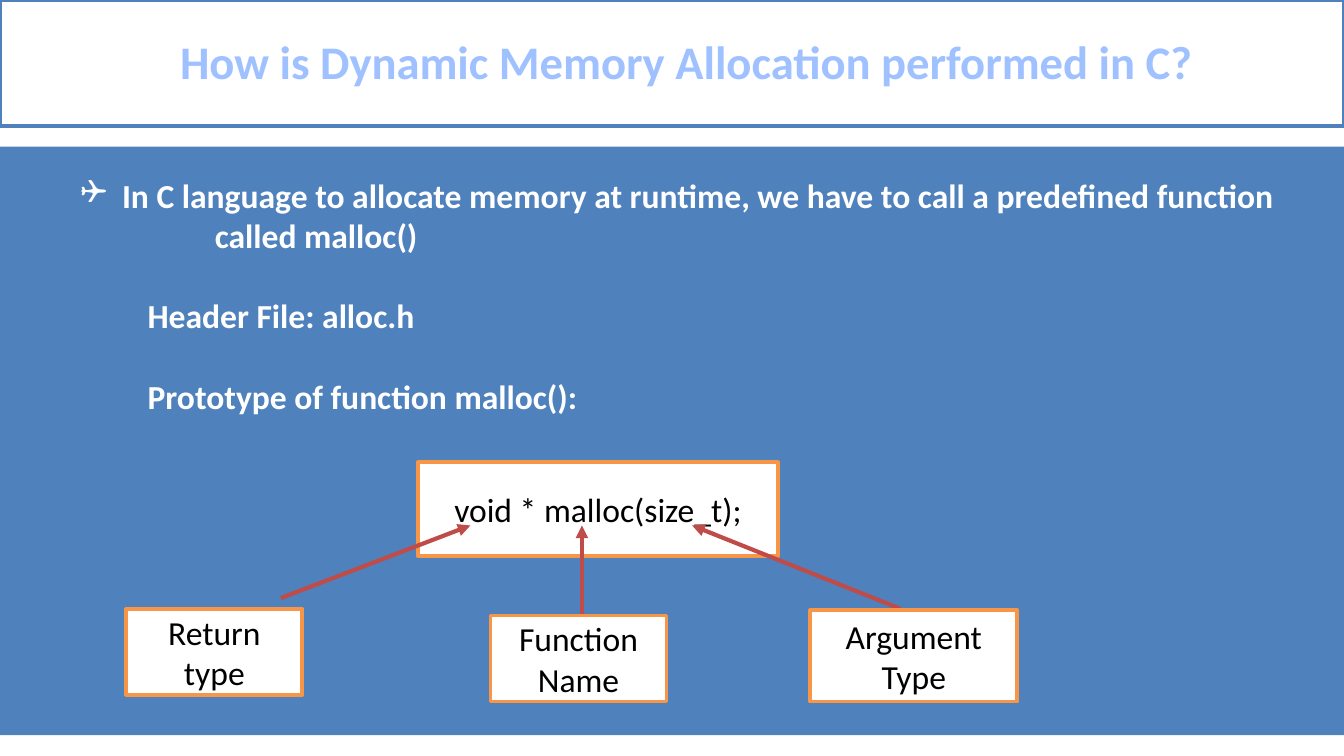
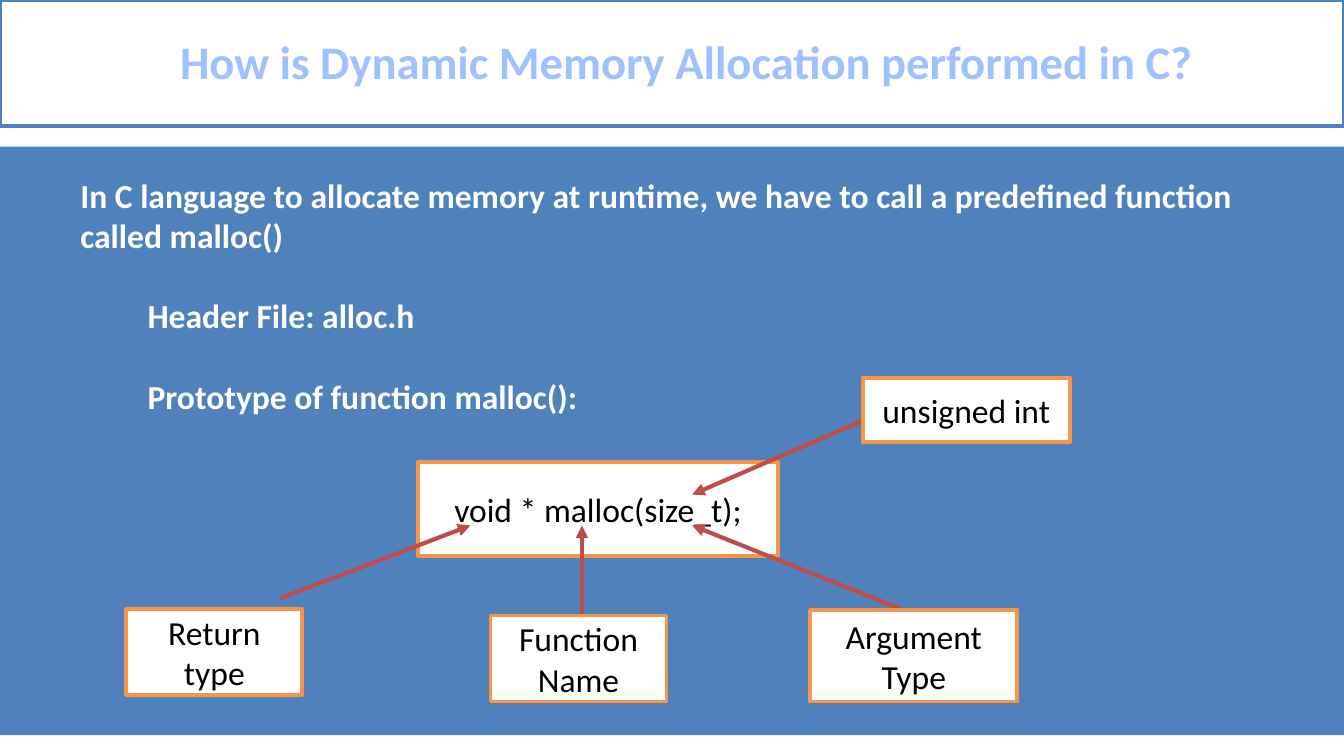
from dataclasses import dataclass

from lxml import etree
from pptx import Presentation
from pptx.dml.color import RGBColor
from pptx.enum import shapes, text
from pptx.oxml import ns
from pptx.util import Inches, Pt


@dataclass(frozen=True)
class Theme:
    font: str = "Calibri"
    bullet_font: str = "Wingdings"
    blue: str = "4F81BD"
    white: str = "FFFFFF"
    black: str = "000000"
    title: str = "A0C1FF"
    orange: str = "F79646"
    red: str = "BF4C48"
    title_size: float = 25
    body_size: float = 18
    border: float = 2
    arrow: float = 2.25


@dataclass(frozen=True)
class Line:
    """A paragraph of the body text; lengths in inches, gap in points."""
    words: str
    margin: float = 0.5
    indent: float = 0
    bullet: str = ""
    gap: float = 0


@dataclass(frozen=True)
class Label:
    """A bordered box, with an arrow drawn beneath it if one is given."""
    lines: tuple
    at: tuple
    arrow: tuple = ()


THEME = Theme()
TITLE = "How is Dynamic Memory Allocation performed in C?"
INTRO = "In C language to allocate memory at runtime, we have to call a predefined function"
CALLED = "called malloc()"

# Lines and labels that both slides share
DETAILS = (
    Line("Header File: alloc.h", margin=1, gap=21.5),
    Line("Prototype of function malloc():", margin=1, gap=21.5),
)
PROTOTYPE = (
    Label(("void * malloc(size_t);",), (3.11, 3.44, 2.68, 0.7)),
    Label(("Return", "type"), (0.94, 4.53, 1.31, 0.64), (2.09, 4.45, 3.5, 3.91)),
    Label(("Function", "Name"), (3.65, 4.58, 1.31, 0.64), (4.33, 4.58, 4.33, 3.91)),
    Label(("Argument", "Type"), (6.03, 4.54, 1.54, 0.68), (6.7, 4.53, 5.15, 3.91)),
)
UNSIGNED = Label(("unsigned int",), (6.42, 2.81, 1.54, 0.48), (6.42, 3.13, 5.15, 3.68))

SLIDES = (
    ((Line(INTRO, 0.81, -0.31, "❑"), Line(CALLED, 1.5)), PROTOTYPE),
    ((Line(INTRO), Line(CALLED)), PROTOTYPE + (UNSIGNED,)),
)


def style(para, size: float, color: str, bold: bool = False) -> None:
    para.font.name = THEME.font
    para.font.size = Pt(size)
    para.font.bold = bold
    para.font.color.rgb = RGBColor.from_string(color)


def add_box(page, at: tuple, fill: str, border: str = ""):
    box = page.shapes.add_shape(shapes.MSO_SHAPE.RECTANGLE, *map(Inches, at))
    box.shadow.inherit = False
    box.fill.solid()
    box.fill.fore_color.rgb = RGBColor.from_string(fill)
    if border:
        box.line.color.rgb = RGBColor.from_string(border)
        box.line.width = Pt(THEME.border)
    else:
        box.line.fill.background()
    return box


def write_centred(box, lines: tuple, size: float, color: str, bold: bool = False) -> None:
    frame = box.text_frame
    frame.word_wrap = True
    frame.vertical_anchor = text.MSO_ANCHOR.MIDDLE
    for number, words in enumerate(lines):
        para = frame.add_paragraph() if number else frame.paragraphs[0]
        para.text = words
        para.alignment = text.PP_ALIGN.CENTER
        style(para, size, color, bold)


def add_frame(page) -> None:
    """Blue panel and title band."""
    add_box(page, (0, 1.09, 10, 4.38), THEME.blue)
    band = add_box(page, (0, 0, 10, 0.94), THEME.white, THEME.blue)
    write_centred(band, (TITLE,), THEME.title_size, THEME.title, bold=True)
    para = band.text_frame.paragraphs[0]
    para.line_spacing = 0.96
    para._p.get_or_add_pPr().set("marL", str(Inches(0.21)))


def add_body(page, lines: tuple) -> None:
    box = page.shapes.add_textbox(*map(Inches, (0, 1.25, 10, 4.34)))
    frame = box.text_frame
    frame.word_wrap = True
    for number, line in enumerate(lines):
        para = frame.add_paragraph() if number else frame.paragraphs[0]
        para.text = line.words
        if line.gap:
            para.space_before = Pt(line.gap)
        props = para._p.get_or_add_pPr()
        props.set("marL", str(Inches(line.margin)))
        props.set("indent", str(Inches(line.indent)))
        if line.bullet:
            etree.SubElement(props, ns.qn("a:buFont")).set("typeface", THEME.bullet_font)
            etree.SubElement(props, ns.qn("a:buChar")).set("char", line.bullet)
        style(para, THEME.body_size, THEME.white, bold=True)


def add_arrow(page, ends: tuple) -> None:
    arrow = page.shapes.add_connector(shapes.MSO_CONNECTOR.STRAIGHT, *map(Inches, ends))
    arrow.line.color.rgb = RGBColor.from_string(THEME.red)
    arrow.line.width = Pt(THEME.arrow)
    etree.SubElement(arrow.line._get_or_add_ln(), ns.qn("a:tailEnd")).set("type", "triangle")
    etree.SubElement(arrow._element.spPr, ns.qn("a:effectLst"))


def add_label(page, label: Label) -> None:
    if label.arrow:
        add_arrow(page, label.arrow)
    box = add_box(page, label.at, THEME.white, THEME.orange)
    write_centred(box, label.lines, THEME.body_size, THEME.black)


def main() -> None:
    deck = Presentation()
    # Widescreen page, 16 by 9
    deck.slide_width = Inches(10)
    deck.slide_height = Inches(10 * 9 / 16)
    for intro, labels in SLIDES:
        page = deck.slides.add_slide(deck.slide_layouts[6])
        add_frame(page)
        add_body(page, intro + DETAILS)
        for label in labels:
            add_label(page, label)
    deck.save("out.pptx")


if __name__ == "__main__":
    main()
